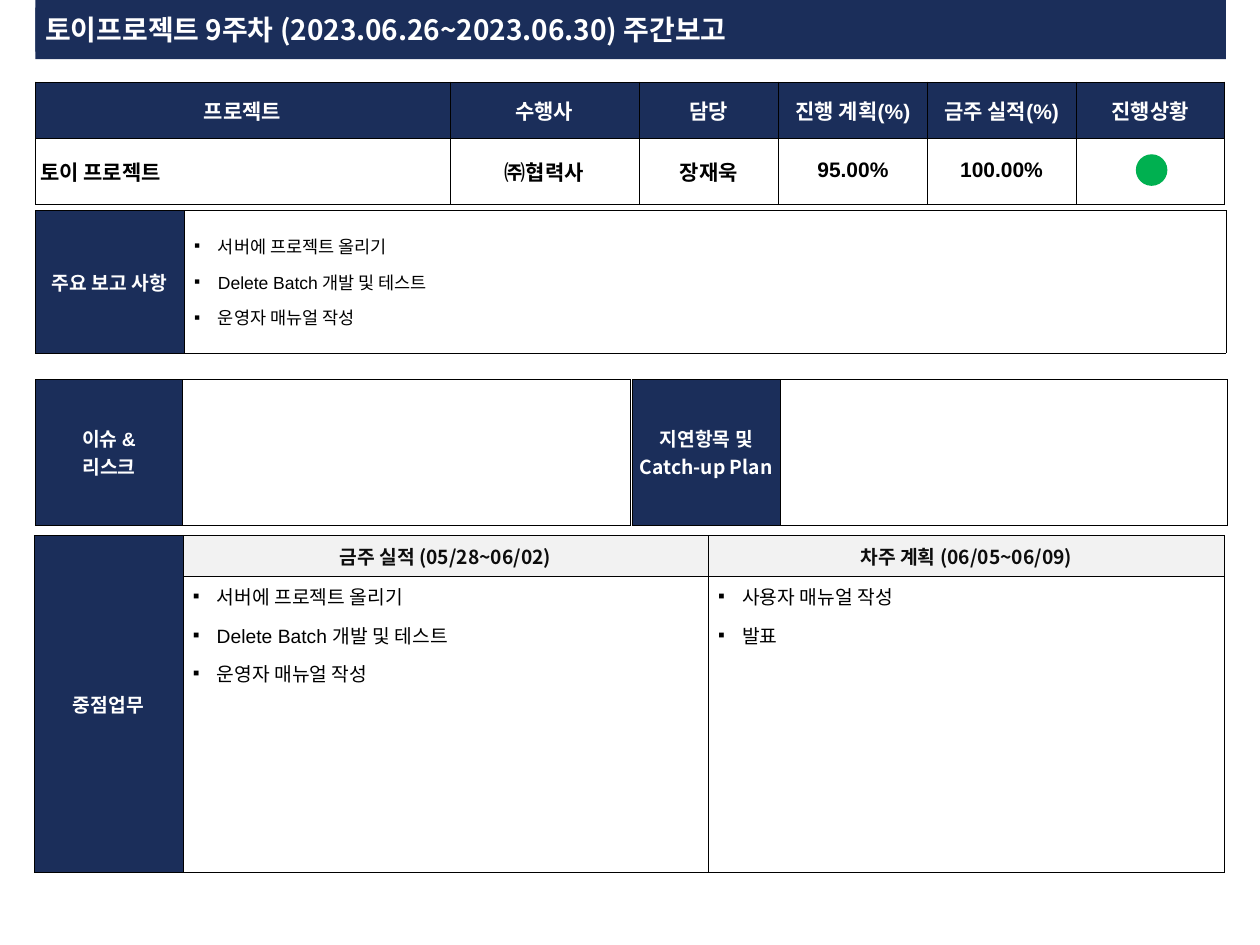
import pptx
import pptx.util
import pptx.dml.color
import pptx.enum.text
import pptx.enum.shapes
import pptx.oxml
import pptx.oxml.ns

Inches, Pt = pptx.util.Inches, pptx.util.Pt
SHAPE = pptx.enum.shapes.MSO_SHAPE
CENTER = pptx.enum.text.PP_ALIGN.CENTER
LEFT = pptx.enum.text.PP_ALIGN.LEFT
MIDDLE = pptx.enum.text.MSO_ANCHOR.MIDDLE
TOP = pptx.enum.text.MSO_ANCHOR.TOP
NAVY, WHITE, BLACK, GREEN = "1B2E5A", "FFFFFF", "000000", "00B050"
GRAY, INK = "F2F2F2", "0D0D0D"
ARIAL, NOTO = "Arial", "Noto Sans CJK KR"
TASKS = ["서버에 프로젝트 올리기", "Delete Batch 개발 및 테스트", "운영자 매뉴얼 작성"]


def hue(code):
    return pptx.dml.color.RGBColor.from_string(code)


def node(tag, **attrs):
    item = pptx.oxml.parse_xml("<a:%s %s/>" % (tag, pptx.oxml.ns.nsdecls("a")))
    for key, value in attrs.items():
        item.set(key, str(value))
    return item


def write(par, text, size, color, font, bold):
    run = par.add_run()
    run.text = text
    run.font.size = Pt(size)
    run.font.bold = bold
    run.font.name = font
    run.font.color.rgb = hue(color)
    run.font._element.append(node("ea", typeface=NOTO))


def block(slide, kind, box, color):
    shape = slide.shapes.add_shape(kind, *[Inches(v) for v in box])
    shape.shadow.inherit = False
    shape.fill.solid()
    shape.fill.fore_color.rgb = hue(color)
    shape.line.fill.background()
    return shape


def grid(slide, box, cols, rows):
    frame = slide.shapes.add_table(len(rows), len(cols), *[Inches(v) for v in box])
    table = frame.table
    table.first_row = table.horz_banding = False
    for col, width in zip(table.columns, cols):
        col.width = Inches(width)
    for row, height in zip(table.rows, rows):
        row.height = Inches(height)
    for cell in table.iter_cells():
        props = cell._tc.get_or_add_tcPr()
        for side in ("lnL", "lnR", "lnT", "lnB"):
            line = node(side, w=3175)
            fill = node("solidFill")
            fill.append(node("srgbClr", val=BLACK))
            line.append(fill)
            props.append(line)
        paint(cell, WHITE)
    return table


def paint(cell, color):
    cell.fill.solid()
    cell.fill.fore_color.rgb = hue(color)


def fill(cell, lines, size, color, font=ARIAL, back=WHITE, bold=True, align=CENTER,
         anchor=MIDDLE, before=0, space=None, bullet=False, pad=0.05):
    paint(cell, back)
    cell.vertical_anchor = anchor
    cell.margin_left = Inches(0.08 if bullet else 0.04)
    cell.margin_right = Inches(0.04)
    cell.margin_top = cell.margin_bottom = Inches(pad)
    for i, text in enumerate(lines):
        frame = cell.text_frame
        par = frame.add_paragraph() if i else frame.paragraphs[0]
        par.alignment = align
        if before:
            par.space_before = Pt(before)
        if space:
            par.line_spacing = space
        if bullet:
            par.space_after = Pt(6)
            props = par._p.get_or_add_pPr()
            props.set("marL", str(Inches(0.19)))
            props.set("indent", str(-Inches(0.19)))
            props.append(node("buFont", typeface=ARIAL))
            props.append(node("buChar", char="▪"))
        write(par, text, size, color, font, bold)


def label(cell, lines, font=ARIAL):
    fill(cell, lines, 11, WHITE, font, NAVY)


def points(cell, lines, size, anchor):
    fill(cell, lines, size, BLACK, bold=False, align=LEFT, anchor=anchor, bullet=True)


def banner(slide, x, y, w):
    block(slide, SHAPE.RECTANGLE, (x, y, w, 0.47), NAVY)
    title = block(slide, SHAPE.RECTANGLE, (x, y + 0.06, 5.85, 0.35), NAVY)
    frame = title.text_frame
    frame.word_wrap = False
    frame.vertical_anchor = MIDDLE
    frame.margin_left = frame.margin_right = Inches(0.08)
    frame.margin_top = frame.margin_bottom = Inches(0.04)
    par = frame.paragraphs[0]
    par.alignment = LEFT
    write(par, "토이프로젝트 9주차 (2023.06.26~2023.06.30) 주간보고", 16, WHITE, NOTO, True)


def status(slide, x, y, w):
    cols = [3.29, 1.5, 1.11, 1.18, 1.18, 1.18]
    table = grid(slide, (x, y, w, 0.97), cols, [0.45, 0.52])
    heads = ["프로젝트", "수행사", "담당", "진행 계획(%)", "금주 실적(%)", "진행상황"]
    for i, text in enumerate(heads):
        fill(table.cell(0, i), [text], 12, WHITE, back=NAVY, before=2.4, pad=0.04)
    facts = [("토이 프로젝트", NOTO, LEFT, 2.4, None), ("㈜협력사", NOTO, CENTER, 2.4, None),
             ("장재욱", ARIAL, CENTER, 6, None), ("95.00%", ARIAL, CENTER, 2.4, 0.9),
             ("100.00%", ARIAL, CENTER, 2.4, 0.9)]
    for i, (text, font, align, before, space) in enumerate(facts):
        fill(table.cell(1, i), [text], 12, BLACK, font, align=align,
             before=before, space=space, pad=0.04)
    light = block(slide, SHAPE.OVAL, (x + 8.74, y + 0.58, 0.24, 0.24), GREEN)
    light.line.color.rgb = hue(GREEN)
    light.line.width = Pt(0.75)


def report(slide, x, y, w):
    table = grid(slide, (x, y, w, 1.13), [1.18, w - 1.18], [1.13])
    label(table.cell(0, 0), ["주요 보고 사항"])
    points(table.cell(0, 1), TASKS, 10, MIDDLE)


def issue(slide, x, y, lines, font):
    table = grid(slide, (x, y, 4.72, 1.16), [1.17, 3.55], [1.16])
    label(table.cell(0, 0), lines, font)


def work(slide, x, y, w):
    table = grid(slide, (x, y, w, 2.63), [1.18, 4.17, 4.1], [0.26, 2.35])
    table.cell(0, 0).merge(table.cell(1, 0))
    label(table.cell(0, 0), ["중점업무"], NOTO)
    plans = [("금주 실적 (05/28~06/02)", TASKS),
             ("차주 계획 (06/05~06/09)", ["사용자 매뉴얼 작성", "발표"])]
    for i, (head, lines) in enumerate(plans, 1):
        fill(table.cell(0, i), [head], 11, INK, NOTO, GRAY, before=2.2)
        points(table.cell(1, i), lines, 11, TOP)


deck = pptx.Presentation()
deck.slide_width, deck.slide_height = Inches(10), Inches(7.5)
page = deck.slides.add_slide(deck.slide_layouts[6])
banner(page, 0.28, 0, 9.45)
status(page, 0.28, 0.65, 9.45)
work(page, 0.27, 4.25, 9.45)
issue(page, 0.28, 3.01, ["이슈 &", "리스크"], ARIAL)
report(page, 0.28, 1.67, 9.45)
issue(page, 5.02, 3.01, ["지연항목 및", "Catch-up Plan"], NOTO)
deck.save("out.pptx")
